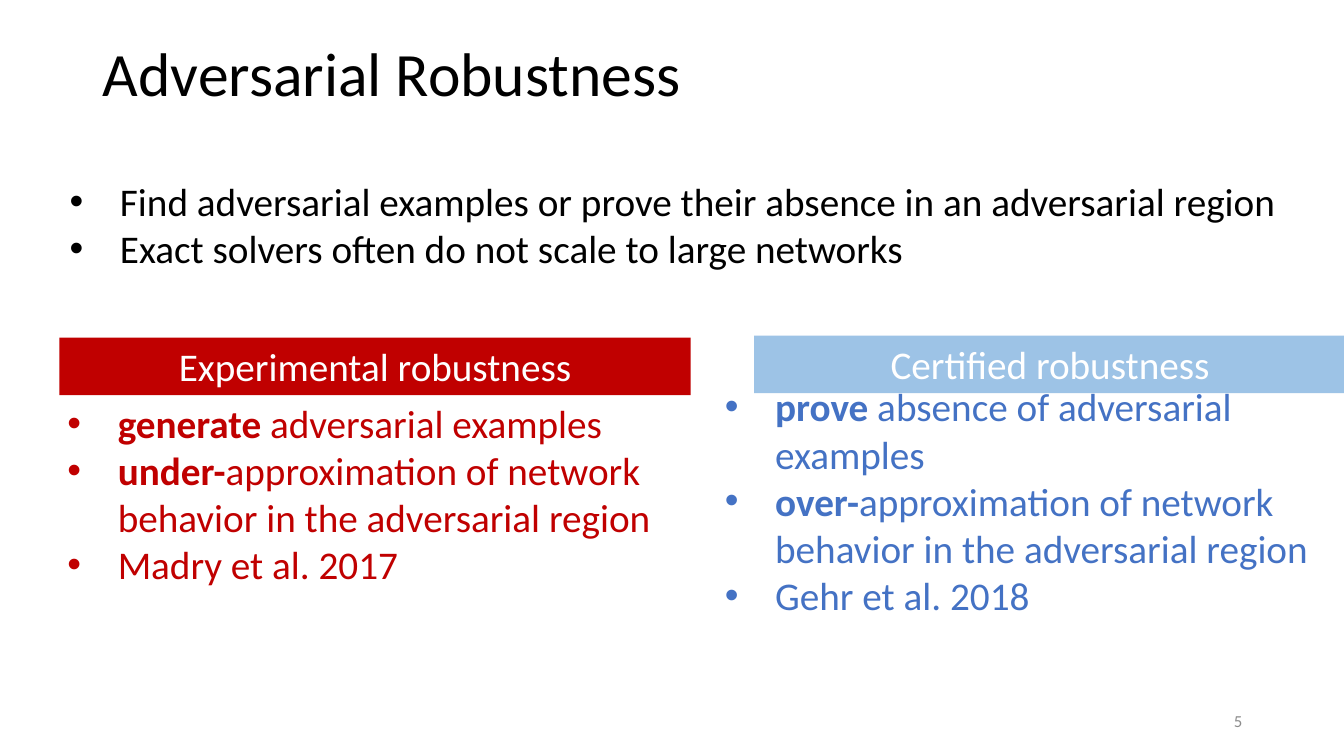
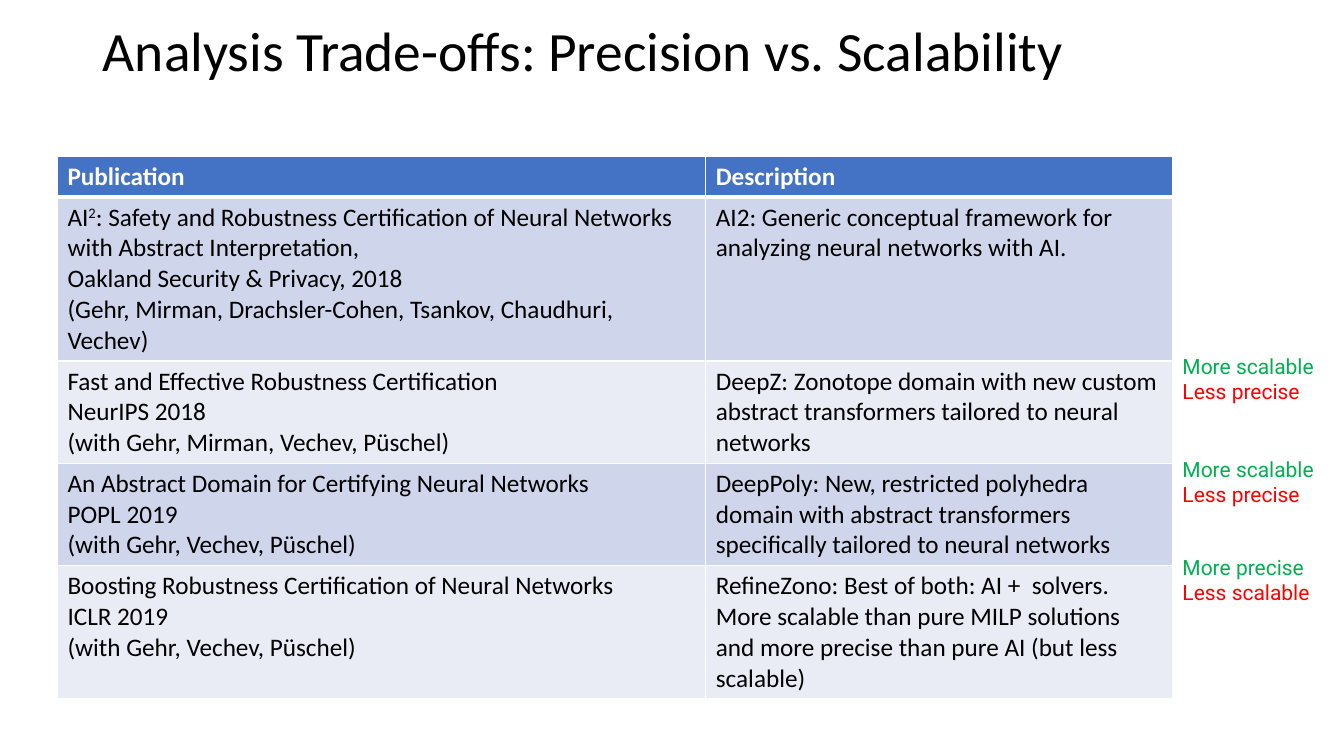
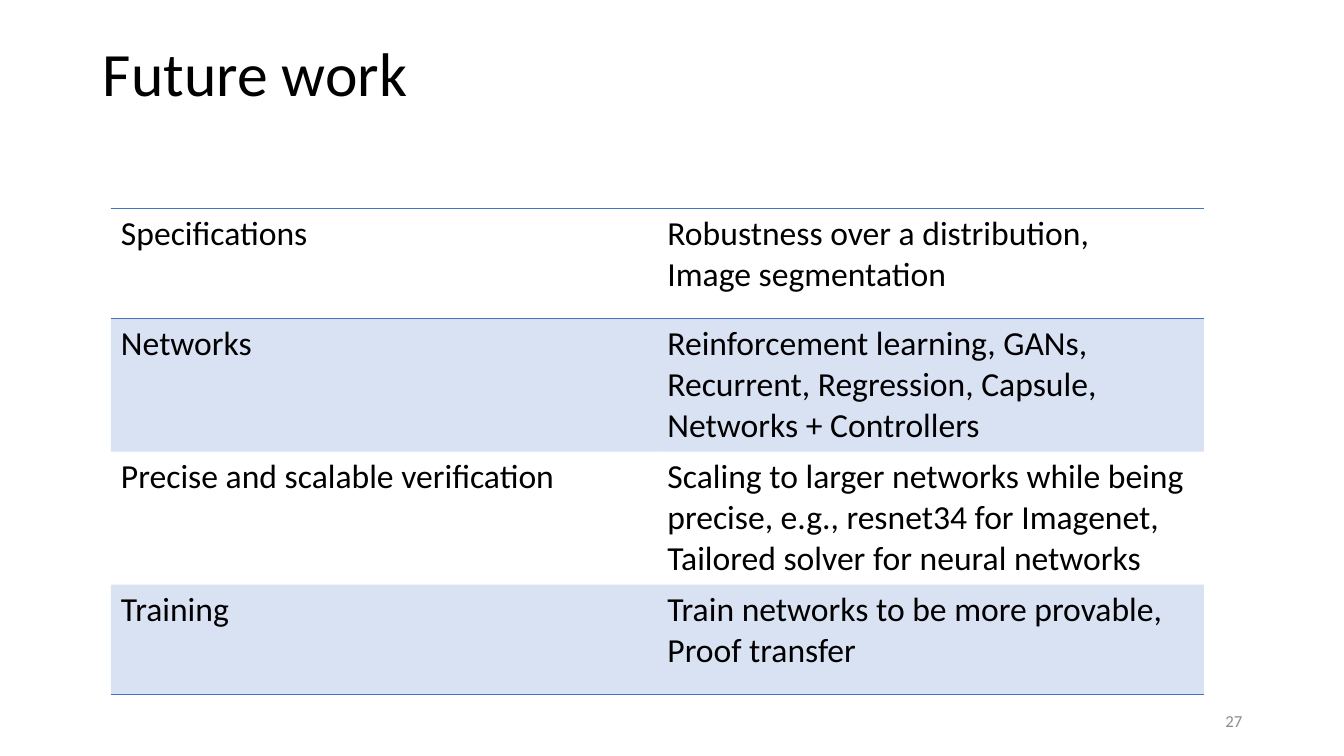
"""Build three slides on adversarial robustness, analysis trade-offs and future work."""
from lxml import etree
from pptx import Presentation
from pptx.dml.color import RGBColor
from pptx.enum.shapes import MSO_SHAPE
from pptx.enum.text import MSO_ANCHOR, MSO_AUTO_SIZE, PP_ALIGN
from pptx.oxml.ns import qn
from pptx.util import Inches, Pt

BLACK = RGBColor(0x00, 0x00, 0x00)
WHITE = RGBColor(0xFF, 0xFF, 0xFF)
GRAY = RGBColor(0x8C, 0x8C, 0x8C)
CRIMSON = RGBColor(0xC0, 0x00, 0x00)
BLUE = RGBColor(0x44, 0x72, 0xC4)
SKY = RGBColor(0x9D, 0xC3, 0xE6)
GREEN = RGBColor(0x00, 0xB0, 0x50)
RED = RGBColor(0xFF, 0x00, 0x00)
BANDS = (RGBColor(0xCF, 0xD5, 0xEA), RGBColor(0xE9, 0xEB, 0xF5))

BODY_FONT = "Calibri"
NOTE_FONT = "Roboto"
PLAIN_TABLE_STYLE = "{2D5ABB26-0587-4C30-8999-92F81FD0307C}"
TITLE_BOX = (0.92, 0.03, 11.5, 1.45)
NUMBER_BOX = (9.42, 6.95, 3, 0.4)

INTRO = [
    "Find adversarial examples or prove their absence in an adversarial region",
    "Exact solvers often do not scale to large networks",
]
APPROXIMATION = "approximation of network behavior in the adversarial region"
APPROACHES = [
    {
        "heading": "Experimental robustness",
        "bar": (0.59, 3.35, 6.26, 0.57),
        "bar_color": CRIMSON,
        "points": [
            [("generate", "bold"), " adversarial examples"],
            [("under-", "bold"), APPROXIMATION],
            "Madry et al. 2017",
        ],
        "points_box": (0.57, 3.94, 6.26, 1.91),
        "points_color": CRIMSON,
    },
    {
        "heading": "Certified robustness",
        "bar": (7.48, 3.33, 5.87, 0.57),
        "bar_color": SKY,
        "points": [
            [("prove", "bold"), " absence of adversarial examples"],
            [("over-", "bold"), APPROXIMATION],
            "Gehr et al. 2018",
        ],
        "points_box": (7.09, 3.75, 6.26, 2.43),
        "points_color": BLUE,
    },
]

PUBLICATIONS = [
    (["Publication"], ["Description"]),
    (
        [
            ["AI", ("2", "super"), ": Safety and Robustness Certification of Neural "
             "Networks with Abstract Interpretation,"],
            "Oakland Security & Privacy, 2018",
            "(Gehr, Mirman, Drachsler-Cohen, Tsankov, Chaudhuri, Vechev)",
        ],
        ["AI2: Generic conceptual framework for analyzing neural networks with AI."],
    ),
    (
        ["Fast and Effective Robustness Certification", "NeurIPS 2018",
         "(with Gehr, Mirman, Vechev, Püschel)"],
        ["DeepZ: Zonotope domain with new custom abstract transformers tailored "
         "to neural networks"],
    ),
    (
        ["An Abstract Domain for Certifying Neural Networks", "POPL 2019",
         "(with Gehr, Vechev, Püschel)"],
        ["DeepPoly: New, restricted polyhedra domain with abstract transformers "
         "specifically tailored to neural networks"],
    ),
    (
        ["Boosting Robustness Certification of Neural Networks", "ICLR 2019",
         "(with Gehr, Vechev, Püschel)"],
        ["RefineZono: Best of both: AI +  solvers. More scalable than pure MILP "
         "solutions and more precise than pure AI (but less scalable)"],
    ),
]
TRADE_OFFS = [
    (3.46, "More scalable", "Less precise"),
    (4.48, "More scalable", "Less precise"),
    (5.45, "More precise", "Less scalable"),
]

FUTURE_WORK = [
    (["Specifications"], ["Robustness over a distribution,", "Image segmentation"]),
    (["Networks"], ["Reinforcement learning, GANs,",
                    "Recurrent, Regression, Capsule, Networks + Controllers"]),
    (["Precise and scalable verification"],
     ["Scaling to larger networks while being precise, e.g., resnet34 for Imagenet,",
      "Tailored solver for neural networks"]),
    (["Training"], ["Train networks to be more provable,", "Proof transfer"]),
]


def inches(box):
    return [Inches(length) for length in box]


def place(shape, box):
    shape.left, shape.top, shape.width, shape.height = inches(box)


def write(frame, paragraphs, size, color, font=BODY_FONT, bold=False, align=None, bullets=False):
    """Fill a frame; a paragraph is a string or a list of strings and (text, style) pairs."""
    for index, content in enumerate(paragraphs):
        paragraph = frame.add_paragraph() if index else frame.paragraphs[0]
        paragraph.space_before = Pt(0)
        if align is not None:
            paragraph.alignment = align
        if bullets:
            properties = paragraph._p.get_or_add_pPr()
            properties.set("marL", str(Inches(0.5)))
            properties.set("indent", str(-Inches(0.5)))
            etree.SubElement(properties, qn("a:buFont")).set("typeface", "Arial")
            etree.SubElement(properties, qn("a:buChar")).set("char", "•")
        for part in [content] if isinstance(content, str) else content:
            text, style = (part, None) if isinstance(part, str) else part
            run = paragraph.add_run()
            run.text = text
            run.font.name = font
            run.font.size = Pt(size)
            run.font.color.rgb = color
            run.font.bold = bold or style == "bold"
            if style == "super":
                run.font._element.set("baseline", "30000")


def add_text(slide, box, paragraphs, size, color, anchor=MSO_ANCHOR.MIDDLE, **options):
    frame = slide.shapes.add_textbox(*inches(box)).text_frame
    frame.word_wrap = True
    frame.vertical_anchor = anchor
    write(frame, paragraphs, size, color, **options)
    return frame


def add_slide(deck, layout, title, number=None, title_box=TITLE_BOX, title_size=44):
    slide = deck.slides.add_slide(deck.slide_layouts[layout])
    heading = slide.shapes.title
    place(heading, title_box)
    heading.text_frame.vertical_anchor = MSO_ANCHOR.MIDDLE
    heading.text_frame.auto_size = MSO_AUTO_SIZE.NONE
    write(heading.text_frame, [title], title_size, BLACK, align=PP_ALIGN.LEFT)
    heading.text_frame.paragraphs[0].line_spacing = 0.9
    if number:
        add_text(slide, NUMBER_BOX, [number], 12, GRAY, align=PP_ALIGN.RIGHT)
    return slide


def set_border(cell, side, color, width):
    line = etree.SubElement(cell._tc.get_or_add_tcPr(), qn(f"a:ln{side}"))
    line.set("w", str(Pt(width)))
    fill = etree.SubElement(line, qn("a:solidFill"))
    etree.SubElement(fill, qn("a:srgbClr")).set("val", str(color))


def add_table(slide, left, top, widths, heights, rows):
    """Add a table without text and yield each cell with its row number and content."""
    frame = slide.shapes.add_table(len(heights), len(widths), Inches(left), Inches(top),
                                   Inches(sum(widths)), Inches(sum(heights)))
    table = frame.table
    table._tbl.tblPr.find(qn("a:tableStyleId")).text = PLAIN_TABLE_STYLE
    for column, width in zip(table.columns, widths):
        column.width = Inches(width)
    for index, (row, height) in enumerate(zip(rows, heights)):
        table.rows[index].height = Inches(height)
        for cell, content in zip(table.rows[index].cells, row):
            yield cell, index, content


def build_robustness(deck):
    slide = add_slide(deck, 1, "Adversarial Robustness", "5")
    intro = slide.placeholders[1]
    place(intro, (0.59, 1.74, 12.74, 0.98))
    intro.text_frame.vertical_anchor = MSO_ANCHOR.MIDDLE
    intro.text_frame.auto_size = MSO_AUTO_SIZE.NONE
    write(intro.text_frame, INTRO, 28, BLACK, bullets=True)
    for approach in APPROACHES:
        add_text(slide, approach["points_box"], approach["points"], 28,
                 approach["points_color"], bullets=True)
        bar = slide.shapes.add_shape(MSO_SHAPE.RECTANGLE, *inches(approach["bar"]))
        bar.shadow.inherit = False
        bar.fill.solid()
        bar.fill.fore_color.rgb = approach["bar_color"]
        bar.line.fill.background()
        bar.text_frame.vertical_anchor = MSO_ANCHOR.TOP
        write(bar.text_frame, [approach["heading"]], 28, WHITE, align=PP_ALIGN.CENTER)


def build_trade_offs(deck):
    slide = add_slide(deck, 5, "Analysis Trade-offs: Precision vs. Scalability",
                      title_box=(0.92, 0.02, 10.09, 1.02), title_size=39.6)
    heights = (0.4, 1.6, 1, 1, 1.3)
    for cell, row, content in add_table(slide, 0.57, 1.55, (6.43, 4.63), heights, PUBLICATIONS):
        header = row == 0
        for side in "LRTB":
            thick = (header and side == "B") or (row == 1 and side == "T")
            set_border(cell, side, WHITE, 3 if thick else 1)
        cell.fill.solid()
        cell.fill.fore_color.rgb = BLUE if header else BANDS[(row - 1) % 2]
        write(cell.text_frame, content, 18, WHITE if header else BLACK, bold=header)
    for top, gain, loss in TRADE_OFFS:
        note = add_text(slide, (11.63, top, 1.57, 0.61), [gain, loss], 15, GREEN,
                        anchor=MSO_ANCHOR.TOP, font=NOTE_FONT)
        note.word_wrap = False
        note.paragraphs[1].runs[0].font.color.rgb = RED


def build_future_work(deck):
    slide = add_slide(deck, 5, "Future work", "27")
    heights = (1.09, 1.32, 1.32, 1.09)
    for cell, row, content in add_table(slide, 1.1, 2.07, (5.42, 5.42), heights, FUTURE_WORK):
        if row == 0:
            set_border(cell, "T", BLUE, 1)
        if row in (0, len(heights) - 1):
            set_border(cell, "B", BLUE, 1)
        if row % 2:
            cell.fill.solid()
            cell.fill.fore_color.rgb = BLUE
            tint = cell._tc.tcPr.find(f"{qn('a:solidFill')}/{qn('a:srgbClr')}")
            etree.SubElement(tint, qn("a:alpha")).set("val", "20000")
        else:
            cell.fill.background()
        write(cell.text_frame, content, 24, BLACK)


def main():
    deck = Presentation()
    deck.slide_width, deck.slide_height = Inches(13.33), Inches(7.5)
    build_robustness(deck)
    build_trade_offs(deck)
    build_future_work(deck)
    deck.save("out.pptx")


if __name__ == "__main__":
    main()
